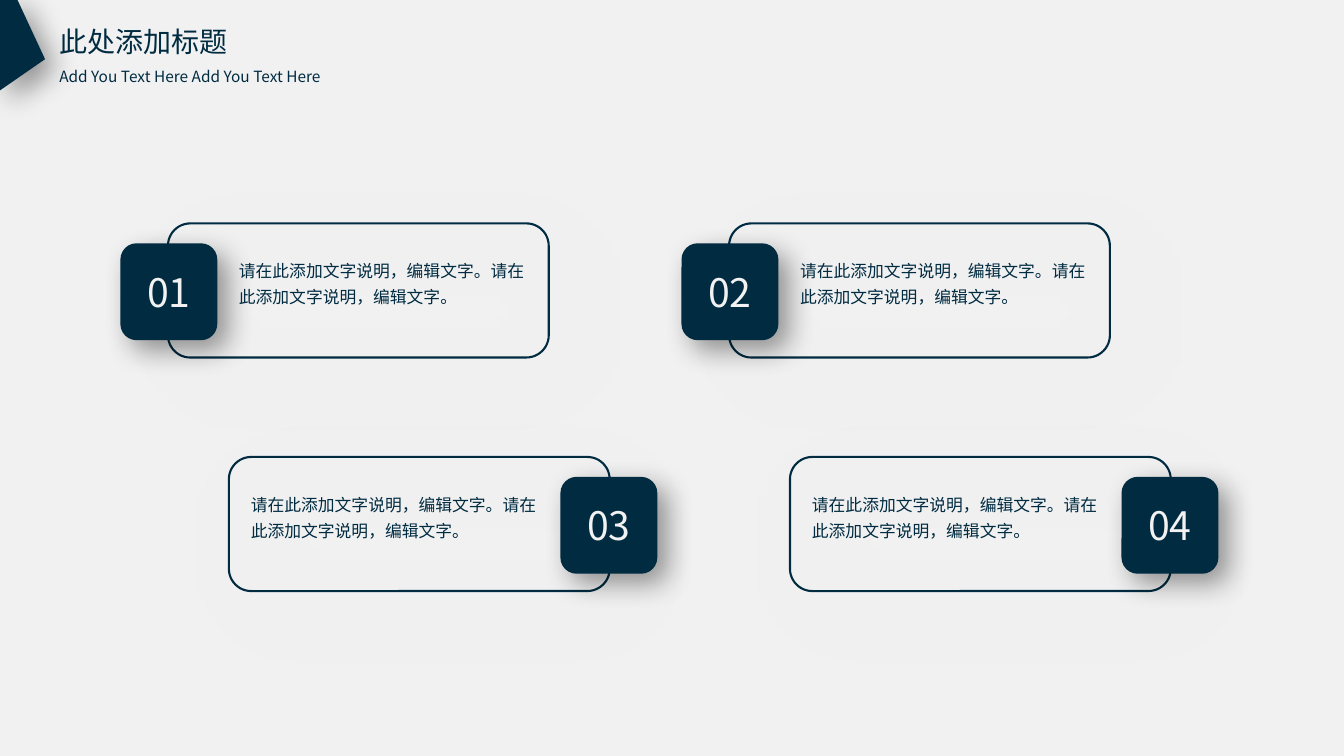
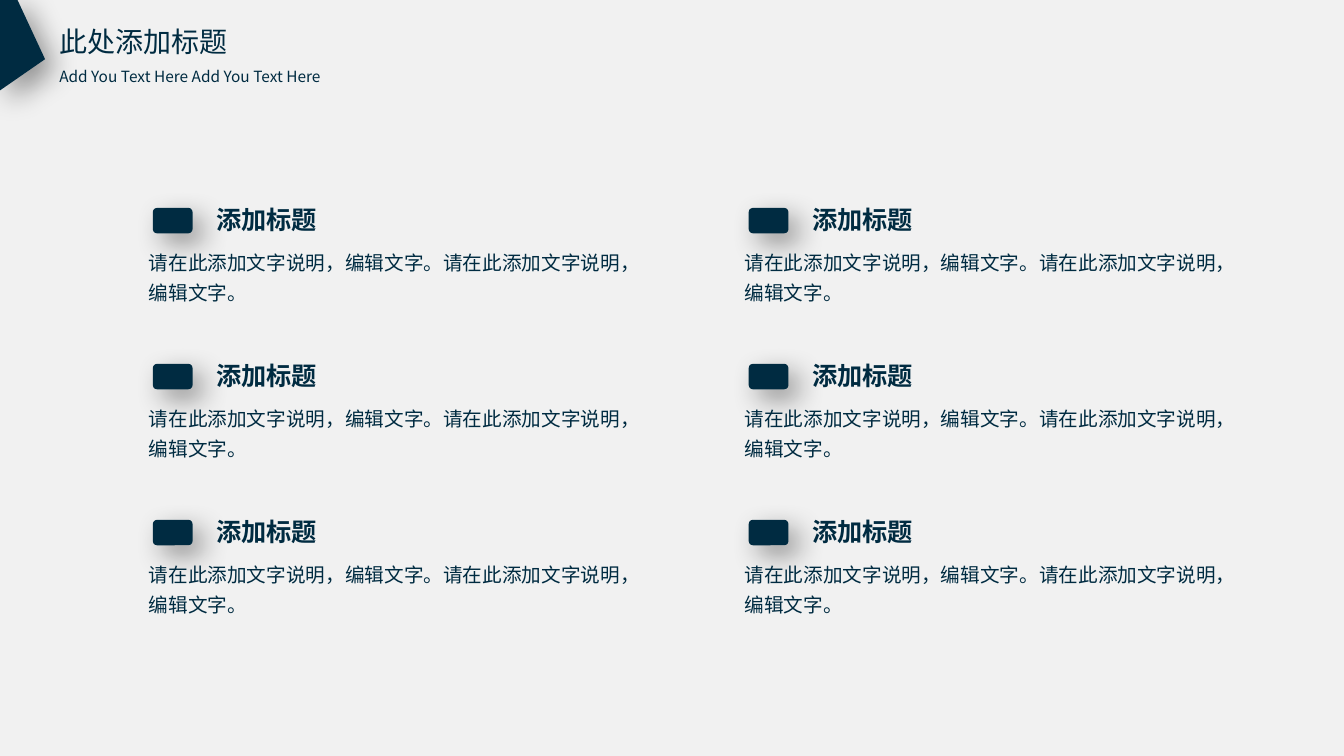
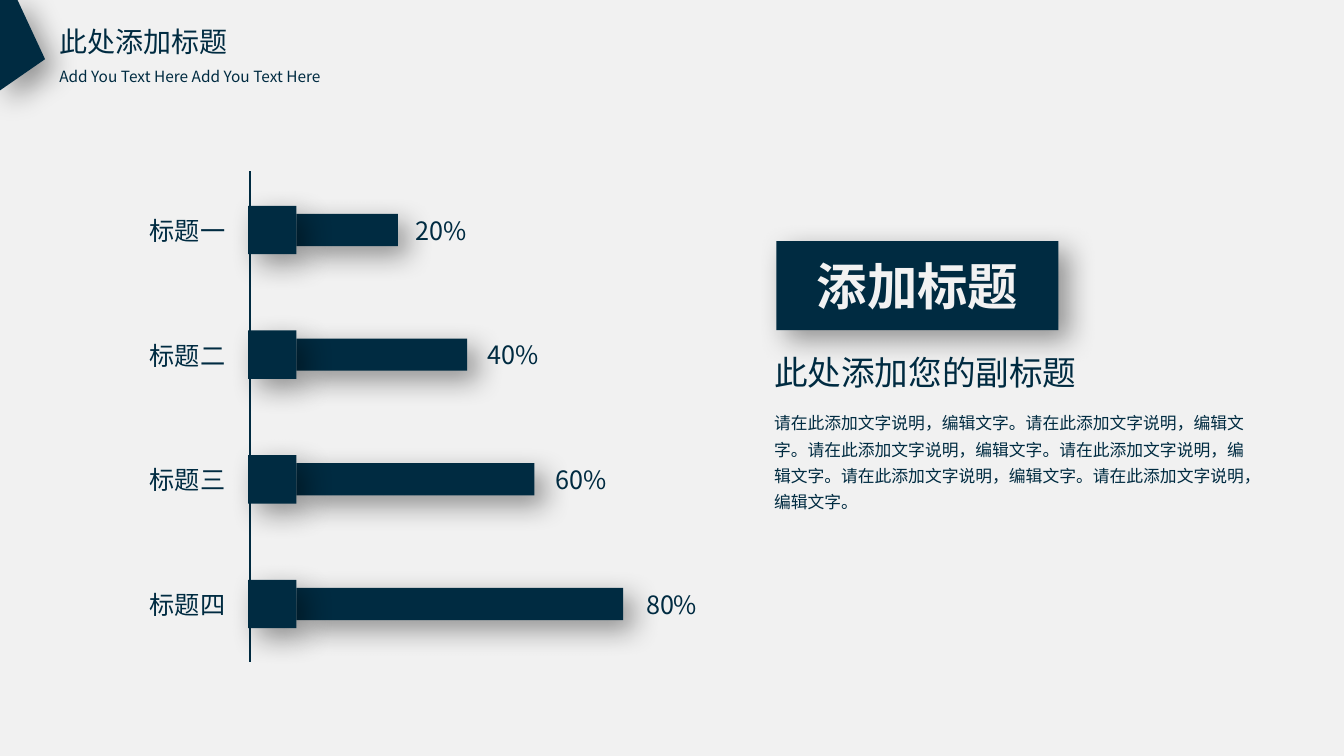
from lxml.etree import SubElement
from pptx import Presentation
from pptx.dml.color import RGBColor
from pptx.enum.shapes import MSO_CONNECTOR, MSO_SHAPE
from pptx.enum.text import MSO_ANCHOR, MSO_AUTO_SIZE, PP_ALIGN
from pptx.oxml.ns import qn
from pptx.util import Pt

FONT = "Noto Sans CJK SC"
NAVY = RGBColor(0x00, 0x2B, 0x41)
WHITE = RGBColor(0xF2, 0xF2, 0xF2)
PAPER = RGBColor(0xF1, 0xF1, 0xF1)
BLACK = RGBColor(0x00, 0x00, 0x00)
GREY = RGBColor(0x80, 0x80, 0x80)

# Shadows: colour, opacity %, blur and distance in points
SOLID_SHADOW = (BLACK, 40, 20, 10)
FRAME_SHADOW = (GREY, 20, 50, 20)

HEADING = "添加标题"
SENTENCE = "请在此添加文字说明，编辑文字。"


# Shared building blocks
def set_shadow(shape, color, opacity, blur, distance):
    shape.shadow.inherit = False
    effects = shape.element.spPr.find(qn("a:effectLst"))
    outer = SubElement(effects, qn("a:outerShdw"), blurRad=str(Pt(blur)),
                       dist=str(Pt(distance)), dir=str(45 * 60000),
                       algn="tl", rotWithShape="0")
    tint = SubElement(outer, qn("a:srgbClr"), val=str(color))
    SubElement(tint, qn("a:alpha"), val=str(opacity * 1000))


def style_solid(shape):
    shape.fill.solid()
    shape.fill.fore_color.rgb = NAVY
    shape.line.fill.background()
    set_shadow(shape, *SOLID_SHADOW)


def write(frame, text, size, color=NAVY, bold=False, align=PP_ALIGN.LEFT,
          spacing=None):
    paragraph = frame.paragraphs[0]
    paragraph.alignment = align
    if spacing:
        paragraph.line_spacing = spacing
    run = paragraph.add_run()
    run.text = text
    font = run.font
    font.size, font.bold, font.name = Pt(size), bold, FONT
    font.color.rgb = color
    SubElement(run.font._element, qn("a:ea"), typeface=FONT)


def add_text(slide, left, top, width, height, text, size, wrap=True, **style):
    box = slide.shapes.add_textbox(Pt(left), Pt(top), Pt(width), Pt(height))
    frame = box.text_frame
    frame.word_wrap = wrap
    frame.auto_size = MSO_AUTO_SIZE.SHAPE_TO_FIT_TEXT
    write(frame, text, size, **style)


def add_label(slide, left, top, width, height, text, size,
              align=PP_ALIGN.LEFT):
    box = slide.shapes.add_textbox(Pt(left), Pt(top), Pt(width), Pt(height))
    frame = box.text_frame
    frame.word_wrap = True
    frame.vertical_anchor = MSO_ANCHOR.MIDDLE
    frame.margin_left = frame.margin_right = 0
    frame.margin_top = frame.margin_bottom = 0
    write(frame, text, size, align=align)


def add_solid(slide, kind, left, top, width, height, text=None, size=18,
              bold=False):
    shape = slide.shapes.add_shape(kind, Pt(left), Pt(top), Pt(width),
                                   Pt(height))
    style_solid(shape)
    if text:
        shape.text_frame.vertical_anchor = MSO_ANCHOR.MIDDLE
        write(shape.text_frame, text, size, WHITE, bold, PP_ALIGN.CENTER)


def add_header(slide, left=35.3, top=13.7):
    add_text(slide, left, top, 135.4, 31.7, "此处添加标题", 20, wrap=False)
    add_text(slide, left, top + 26.6, 220.3, 23,
             "Add You Text Here Add You Text Here", 11, spacing=1.3)
    # Corner ornament
    builder = slide.shapes.build_freeform(Pt(12.2), Pt(-0.7))
    corners = [(0, -0.7), (0, 64.6), (32.2, 42.3)]
    builder.add_line_segments([(Pt(x), Pt(y)) for x, y in corners])
    style_solid(builder.convert_to_shape())


def new_slide(presentation):
    slide = presentation.slides.add_slide(presentation.slide_layouts[6])
    add_header(slide)
    return slide


# Numbered cards
def add_card(slide, left, top, number, badge_right):
    width, frame_width, height, badge = 306, 272, 95.8, 69.2
    if badge_right:
        frame_left, badge_left, text_indent = left, left + width - badge, 8.6
    else:
        frame_left, badge_left = left + width - frame_width, left
        text_indent = 43.6
    frame = slide.shapes.add_shape(MSO_SHAPE.ROUNDED_RECTANGLE, Pt(frame_left),
                                   Pt(top), Pt(frame_width), Pt(height))
    frame.fill.background()
    frame.line.color.rgb = NAVY
    frame.line.width = Pt(1.5)
    set_shadow(frame, *FRAME_SHADOW)
    add_solid(slide, MSO_SHAPE.ROUNDED_RECTANGLE, badge_left, top + 14.2,
              badge, badge, number, 28)
    add_text(slide, frame_left + text_indent, top + 19, 220.3, 43.2,
             SENTENCE * 2, 12, spacing=1.3)


def build_cards(slide, left=86, top=159.6):
    column_pitch, row_pitch, row_shift = 400.8, 166.8, 77.5
    for index in range(4):
        row, column = divmod(index, 2)
        add_card(slide, left + column * column_pitch + row * row_shift,
                 top + row * row_pitch, f"{index + 1:02}", row == 1)


# Topic grid
def add_topic(slide, left, top):
    add_solid(slide, MSO_SHAPE.ROUNDED_RECTANGLE, left + 10, top + 5.8,
              28.4, 18.2)
    add_text(slide, left + 48.2, top, 86.4, 28.8, HEADING, 18, bold=True)
    add_text(slide, left, top + 27.8, 364.3, 49, SENTENCE * 2, 14, spacing=1.3)


def build_topics(slide, left=99.2, top=142.7):
    for row in range(3):
        for column in range(2):
            add_topic(slide, left + column * 425.6, top + row * 111.4)


# Progress bars
def add_bar(slide, left, top, name, value, length, gap):
    block, thickness = 34.6, 23
    bar_left = left + block
    add_solid(slide, MSO_SHAPE.RECTANGLE, bar_left,
              top + (block - thickness) / 2, length, thickness)
    add_solid(slide, MSO_SHAPE.RECTANGLE, left, top, block, block)
    add_label(slide, left - 85.8, top - 8, 85, 51, name, 18, PP_ALIGN.CENTER)
    add_label(slide, bar_left + length + gap, top, 67, block, value, 18)


def build_bars(slide, left=177.2, top=147):
    axis_left = left + 1.4
    axis = slide.shapes.add_connector(MSO_CONNECTOR.STRAIGHT, Pt(axis_left),
                                      Pt(top - 24.8), Pt(axis_left),
                                      Pt(top + 326))
    axis.line.color.rgb = NAVY
    axis.line.width = Pt(1.75)
    SubElement(axis.element.spPr, qn("a:effectLst"))
    bars = [("标题一", "20%", 72.4, 12.6), ("标题二", "40%", 122, 14.6),
            ("标题三", "60%", 169.9, 15.1), ("标题四", "80%", 233.3, 16.4)]
    for row, bar in enumerate(bars):
        add_bar(slide, left, top + row * 89.05, *bar)


# Summary panel
def build_summary(slide, left=545.8, top=172.2):
    add_solid(slide, MSO_SHAPE.RECTANGLE, left + 8.8, top, 201.4, 63.6,
              HEADING, 36, bold=True)
    add_text(slide, left, top + 75.5, 257, 36, "此处添加您的副标题", 24)
    add_text(slide, left, top + 115.1, 355, 82.8, SENTENCE * 6, 12,
             spacing=1.3)


presentation = Presentation()
presentation.slide_width, presentation.slide_height = Pt(960), Pt(540)
background = presentation.slide_master.background.fill
background.solid()
background.fore_color.rgb = PAPER

build_cards(new_slide(presentation))
build_topics(new_slide(presentation))
chart_slide = new_slide(presentation)
build_bars(chart_slide)
build_summary(chart_slide)

presentation.save("out.pptx")
